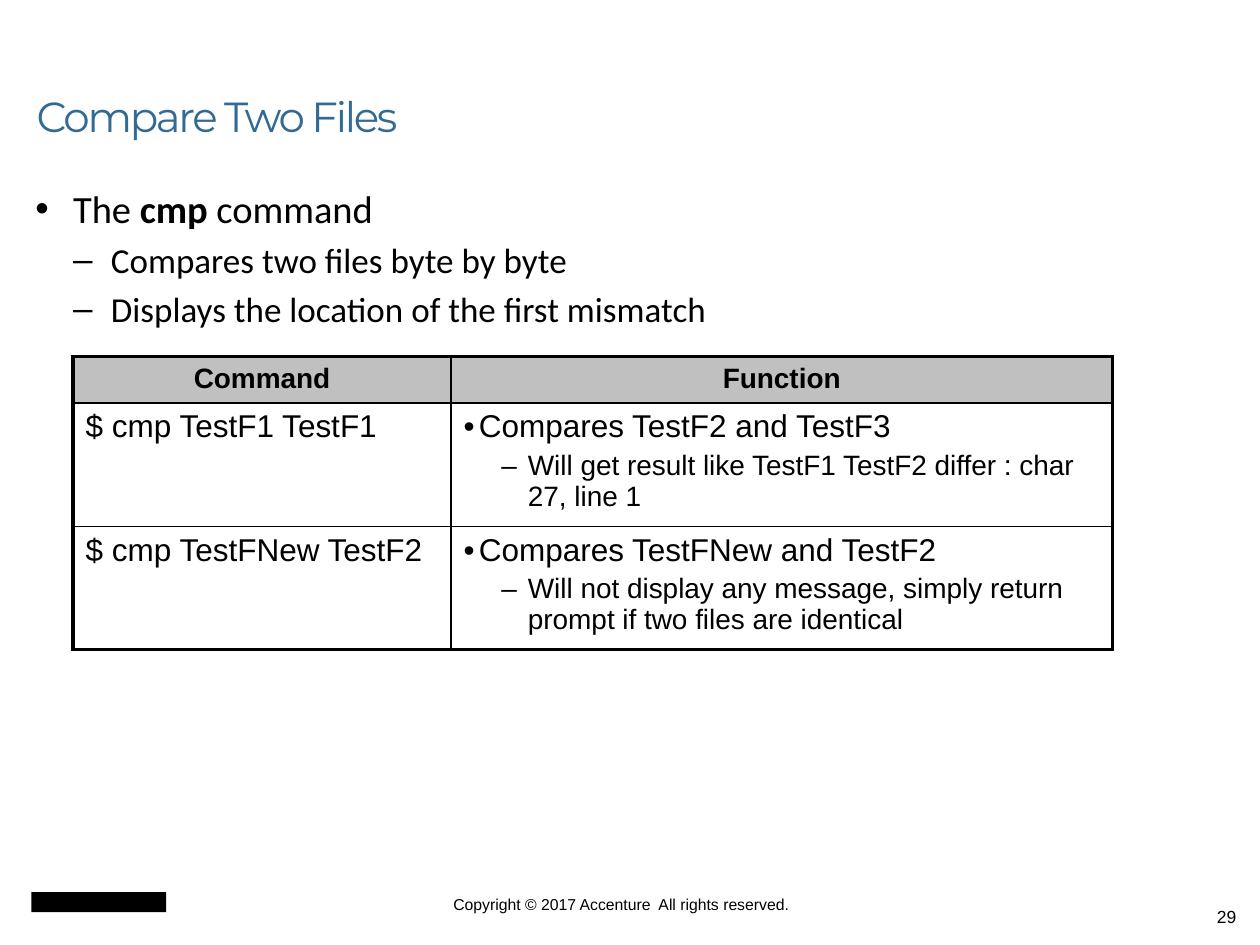
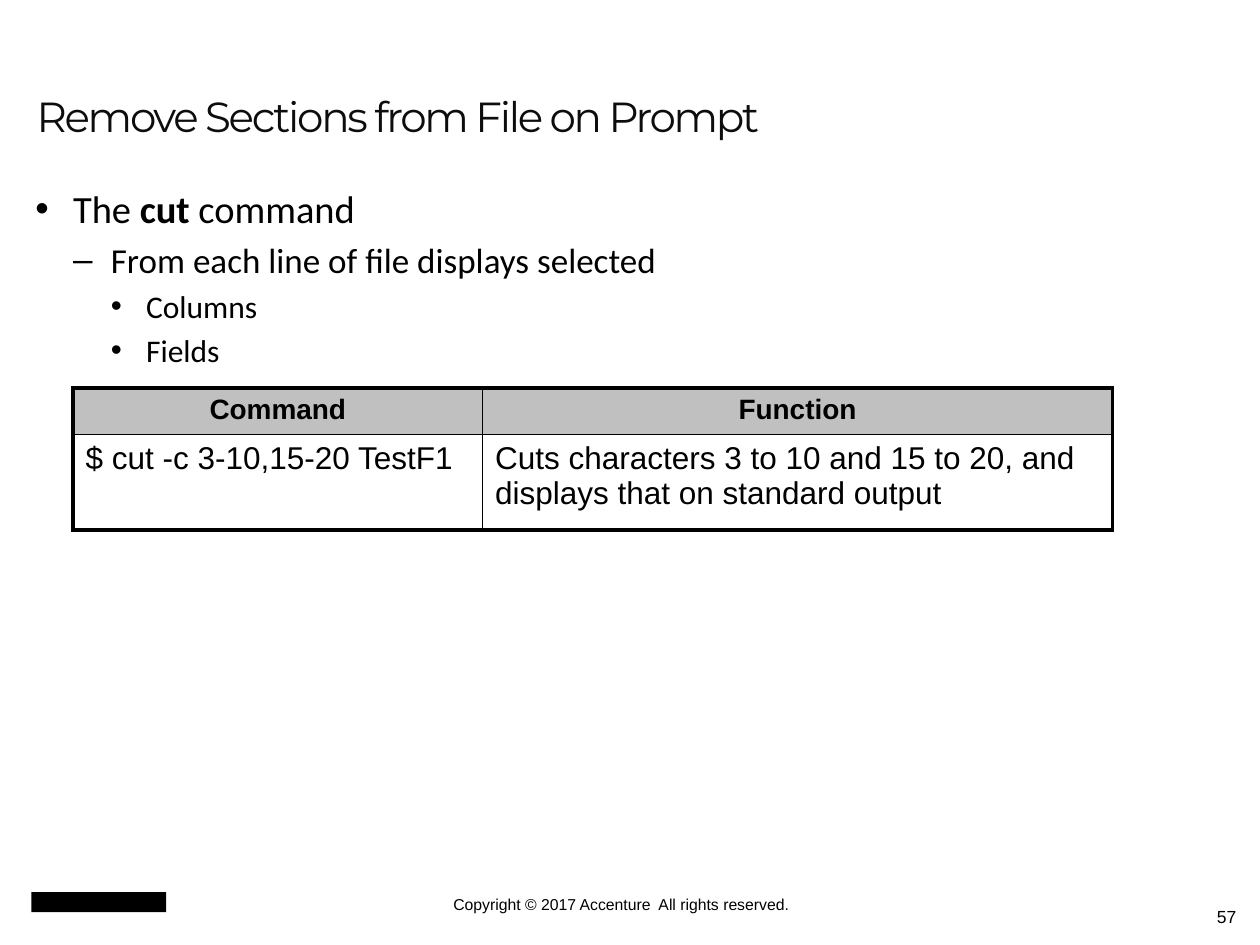
from dataclasses import dataclass

from lxml import etree
from pptx import Presentation
from pptx.dml.color import RGBColor
from pptx.enum.shapes import MSO_SHAPE
from pptx.enum.text import MSO_ANCHOR, MSO_AUTO_SIZE, PP_ALIGN
from pptx.oxml.ns import qn
from pptx.util import Inches, Pt

LEFT, CENTER, RIGHT = PP_ALIGN.LEFT, PP_ALIGN.CENTER, PP_ALIGN.RIGHT
TOP, BOTTOM = MSO_ANCHOR.TOP, MSO_ANCHOR.BOTTOM
NO_AUTOFIT = MSO_AUTO_SIZE.NONE
RECTANGLE = MSO_SHAPE.RECTANGLE


@dataclass(frozen=True)
class TextStyle:
    font: str
    size: float
    bullet: str = ""
    margin: float = 0
    hanging: float = 0
    align: int = LEFT
    bold: bool = False


@dataclass(frozen=True)
class Theme:
    black: str = "000000"
    title_blue: str = "326A94"
    title_dark: str = "0D0D0D"
    header_fill: str = "C0C0C0"
    outer_border: float = 2.25
    inner_border: float = 1
    space_before: float = 0.2  # share of the type size
    title_tracking: int = -130  # hundredths of a point
    title: TextStyle = TextStyle("Montserrat", 24)
    copyright: TextStyle = TextStyle("Arial", 9, align=CENTER)
    number: TextStyle = TextStyle("Arial", 10, align=RIGHT)
    header: TextStyle = TextStyle("Arial", 16, align=CENTER, bold=True)
    cell: TextStyle = TextStyle("Arial", 18)
    cell_list: tuple = (
        TextStyle("Arial", 18, "•", 0.12, 0.12),
        TextStyle("Arial", 16, "–", 0.51, 0.21),
    )
    body_list: tuple = (
        TextStyle("Calibri", 22, "•", 0.3, 0.3),
        TextStyle("Calibri", 20, "–", 0.6, 0.3),
        TextStyle("Calibri", 18, "•", 0.88, 0.28),
    )


THEME = Theme()

# Boxes: left, top, width, height in inches
TITLE_BOX = (0.19, 0.17, 8.92, 1)
BODY_BOX = (0.18, 1.42, 9.32, 5.25)
LOGO_BOX = (0.25, 7.08, 1.07, 0.16)
COPYRIGHT_BOX = (2.75, 7.1, 4.36, 0.15)
NUMBER_BOX = (7.58, 7.14, 2.33, 0.36)

TABLE_LEFT = 0.58
HEADER_HEIGHT = 0.36
HEADINGS = ("Command", "Function")
COPYRIGHT = "Copyright © 2017 Accenture  All rights reserved."


def to_inches(box):
    return [Inches(length) for length in box]


def move(shape, box):
    shape.left, shape.top, shape.width, shape.height = to_inches(box)


def add_bullet(paragraph, style):
    properties = paragraph._p.get_or_add_pPr()
    properties.set("marL", str(Inches(style.margin)))
    properties.set("indent", str(-Inches(style.hanging)))
    color = etree.SubElement(properties, qn("a:buClr"))
    etree.SubElement(color, qn("a:srgbClr"), val=THEME.black)
    etree.SubElement(properties, qn("a:buFont"), typeface="Arial")
    etree.SubElement(properties, qn("a:buChar"), char=style.bullet)


def add_run(paragraph, text, style, color=THEME.black, bold=False):
    run = paragraph.add_run()
    run.text = text
    run.font.name = style.font
    run.font.size = Pt(style.size)
    run.font.bold = bold or style.bold
    run.font.color.rgb = RGBColor.from_string(color)
    return run


def write_line(paragraph, text, style, color=THEME.black):
    paragraph.alignment = style.align
    return add_run(paragraph, text, style, color)


def write_list(text_frame, items, styles):
    """Each item is a level and its runs; every second run is bold."""
    for index, (level, *texts) in enumerate(items):
        paragraph = text_frame.add_paragraph() if index else text_frame.paragraphs[0]
        style = styles[level]
        paragraph.level = level
        add_bullet(paragraph, style)
        paragraph.space_before = Pt(style.size * THEME.space_before if index else 0)
        for position, text in enumerate(texts):
            add_run(paragraph, text, style, bold=position % 2 == 1)


def set_borders(cell, widths):
    properties = cell._tc.get_or_add_tcPr()
    for side, width in widths.items():
        line = etree.SubElement(properties, qn(f"a:ln{side}"), w=str(Pt(width)))
        fill = etree.SubElement(line, qn("a:solidFill"))
        etree.SubElement(fill, qn("a:srgbClr"), val=THEME.black)


def add_title(slide, text, color):
    title = slide.shapes.title
    move(title, TITLE_BOX)
    frame = title.text_frame
    frame.auto_size = NO_AUTOFIT
    frame.vertical_anchor = BOTTOM
    paragraph = frame.paragraphs[0]
    paragraph.line_spacing = 0.9
    run = write_line(paragraph, text, THEME.title, color)
    run._r.get_or_add_rPr().set("spc", str(THEME.title_tracking))


def add_body(slide, items):
    body = slide.placeholders[1]
    move(body, BODY_BOX)
    body.text_frame.auto_size = NO_AUTOFIT
    body.text_frame.vertical_anchor = TOP
    write_list(body.text_frame, items, THEME.body_list)


def add_command_table(slide, top, column_widths, row_height, rows):
    heights = [HEADER_HEIGHT] + [row_height] * len(rows)
    box = (TABLE_LEFT, top, sum(column_widths), sum(heights))
    table = slide.shapes.add_table(len(heights), len(column_widths), *to_inches(box)).table
    table.first_row = table.horz_banding = False
    for column, width in zip(table.columns, column_widths):
        column.width = Inches(width)
    for row, height in zip(table.rows, heights):
        row.height = Inches(height)

    last_row, last_column = len(heights) - 1, len(column_widths) - 1
    for row_index, contents in enumerate([HEADINGS, *rows]):
        for column_index, content in enumerate(contents):
            cell = table.cell(row_index, column_index)
            # Heavy frame, thin inner lines
            on_frame = {
                "L": column_index == 0,
                "R": column_index == last_column,
                "T": row_index == 0,
                "B": row_index == last_row,
            }
            set_borders(cell, {
                side: THEME.outer_border if outer else THEME.inner_border
                for side, outer in on_frame.items()
            })
            if row_index == 0:
                cell.fill.solid()
                cell.fill.fore_color.rgb = RGBColor.from_string(THEME.header_fill)
            else:
                cell.fill.background()
            # Plain text or a bulleted list
            if isinstance(content, str):
                style = THEME.cell if row_index else THEME.header
                write_line(cell.text_frame.paragraphs[0], content, style)
            else:
                write_list(cell.text_frame, content, THEME.cell_list)


def add_footer(slide, number):
    # Plain bar in the logo's place
    bar = slide.shapes.add_shape(RECTANGLE, *to_inches(LOGO_BOX))
    bar.shadow.inherit = False
    bar.fill.solid()
    bar.fill.fore_color.rgb = RGBColor.from_string(THEME.black)
    bar.line.fill.background()

    # Copyright line
    frame = slide.shapes.add_textbox(*to_inches(COPYRIGHT_BOX)).text_frame
    frame.word_wrap = True
    frame.margin_left = frame.margin_right = frame.margin_top = frame.margin_bottom = 0
    write_line(frame.paragraphs[0], COPYRIGHT, THEME.copyright)

    # Slide number
    frame = slide.shapes.add_textbox(*to_inches(NUMBER_BOX)).text_frame
    frame.word_wrap = True
    write_line(frame.paragraphs[0], str(number), THEME.number)


def add_command_slide(presentation, number, title, title_color, items, table):
    slide = presentation.slides.add_slide(presentation.slide_layouts[1])
    add_footer(slide, number)
    add_title(slide, title, title_color)
    add_body(slide, items)
    add_command_table(slide, **table)


def main():
    presentation = Presentation()
    presentation.slide_width, presentation.slide_height = Inches(10), Inches(7.5)

    add_command_slide(
        presentation, 29, "Compare Two Files", THEME.title_blue,
        items=[
            (0, "The ", "cmp", " command"),
            (1, "Compares two files byte by byte"),
            (1, "Displays the location of the first mismatch"),
        ],
        table=dict(top=2.83, column_widths=(3, 5.25), row_height=0.98, rows=[
            ("$ cmp TestF1 TestF1", [
                (0, "Compares TestF2 and TestF3"),
                (1, "Will get result like TestF1 TestF2 differ : char 27, line 1"),
            ]),
            ("$ cmp TestFNew TestF2", [
                (0, "Compares TestFNew and TestF2"),
                (1, "Will not display any message, simply return prompt "
                    "if two files are identical"),
            ]),
        ]),
    )
    add_command_slide(
        presentation, 57, "Remove Sections from File on Prompt", THEME.title_dark,
        items=[
            (0, "The ", "cut", " command"),
            (1, "From each line of file displays selected"),
            (2, "Columns"),
            (2, "Fields"),
        ],
        table=dict(top=3.08, column_widths=(3.25, 5), row_height=0.76, rows=[
            ("$ cut -c 3-10,15-20 TestF1",
             "Cuts characters 3 to 10 and 15 to 20, and displays that on standard output"),
        ]),
    )
    presentation.save("out.pptx")


if __name__ == "__main__":
    main()
